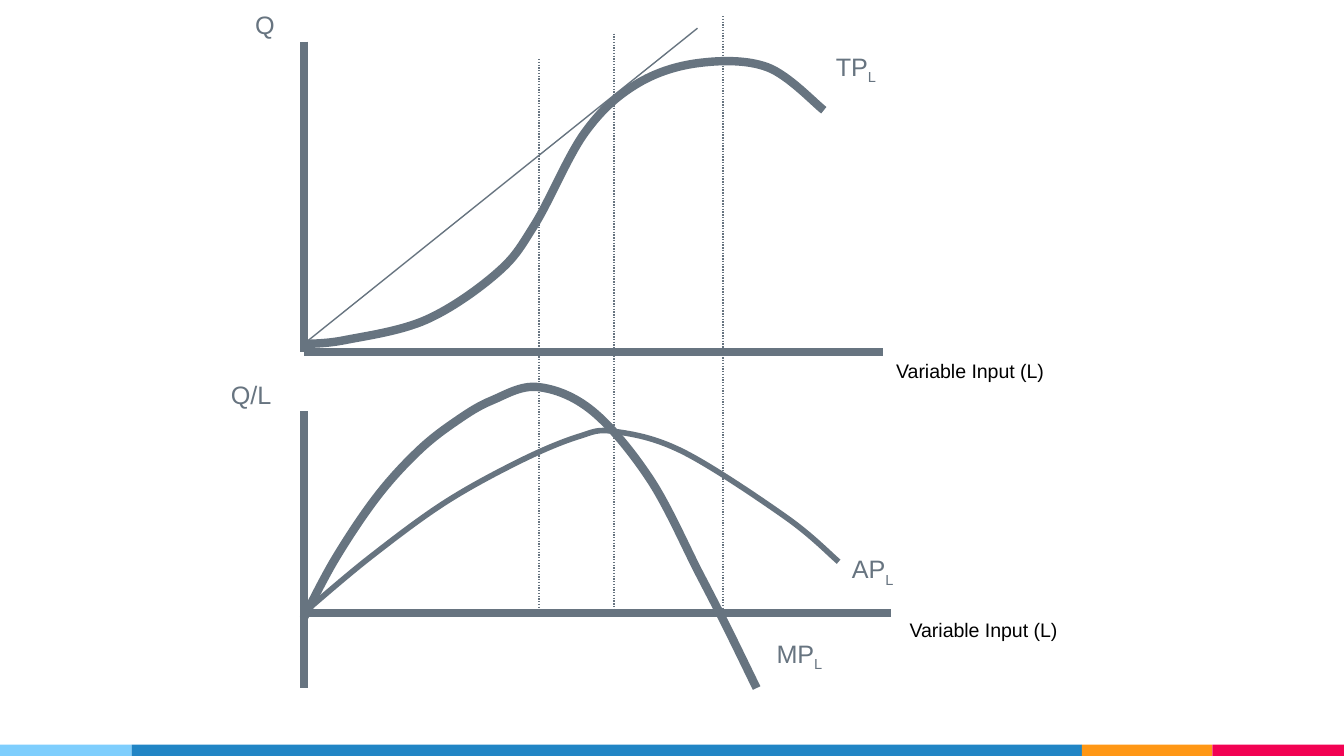
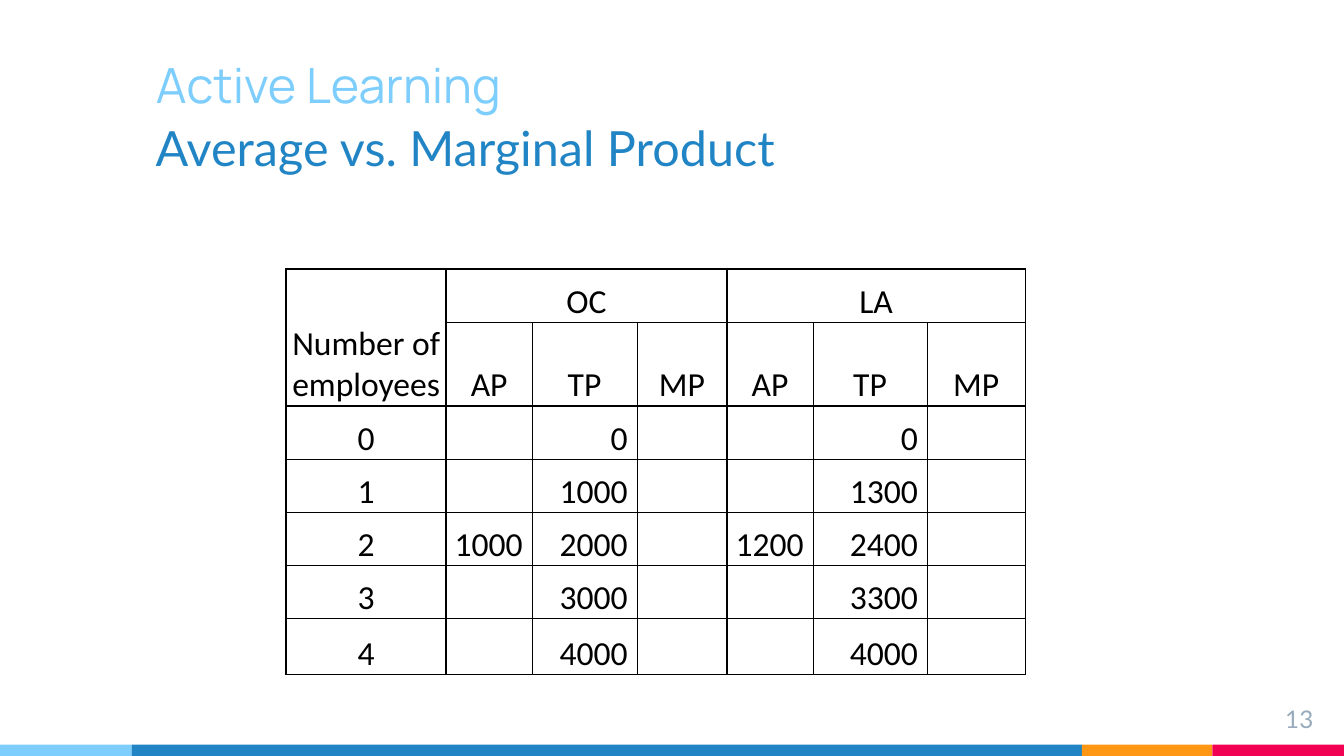
"""Build two economics slides on total, average and marginal product."""
import dataclasses
import typing

import lxml.etree
import pptx
import pptx.dml.color
import pptx.enum.dml
import pptx.enum.shapes
import pptx.enum.text
import pptx.oxml.ns
import pptx.presentation
import pptx.slide
import pptx.table
import pptx.text.text
import pptx.util

PX = 9144
ALIGN = pptx.enum.text.PP_ALIGN
ANCHOR = pptx.enum.text.MSO_ANCHOR
qn = pptx.oxml.ns.qn


@dataclasses.dataclass(frozen=True)
class TextStyle:
    font: str
    size: float
    color: str


@dataclasses.dataclass(frozen=True)
class Theme:
    sky: str = "7ECEFD"
    blue: str = "2185C5"
    orange: str = "FF9715"
    pink: str = "F20253"
    slate: str = "677480"
    black: str = "000000"
    heavy: float = 4.5
    medium: float = 3
    thin: float = 0.75
    table_heavy: float = 1
    table_thin: float = 0.5
    curve_label: TextStyle = TextStyle("Arial", 13.5, "677480")
    axis_label: TextStyle = TextStyle("Arial", 10.5, "000000")
    title: TextStyle = TextStyle("Manrope", 26, "7ECEFD")
    subtitle: TextStyle = TextStyle("Lato", 26, "2185C5")
    page: TextStyle = TextStyle("Lato", 13, "97ABBC")
    cell: TextStyle = TextStyle("Calibri", 18, "000000")


THEME = Theme()


class Box(typing.NamedTuple):
    left: int
    top: int
    width: int
    height: int

    def emu(self) -> list[int]:
        return [side * PX for side in self]


class Band(typing.NamedTuple):
    width: int
    color: str


class Segment(typing.NamedTuple):
    start: tuple[int, int]
    end: tuple[int, int]
    weight: float
    dotted: bool = False


class Curve(typing.NamedTuple):
    weight: float
    knots: list[tuple[int, int]]


class Label(typing.NamedTuple):
    text: str
    box: Box
    style: TextStyle
    subscript: str = ""


BANDS = [Band(98, THEME.sky), Band(707, THEME.blue), Band(97, THEME.orange), Band(98, THEME.pink)]
BAND_TOP = 554

AXES = [
    Segment((226, 31), (226, 262), THEME.heavy),
    Segment((226, 262), (657, 262), THEME.heavy),
    Segment((226, 306), (226, 512), THEME.heavy),
    Segment((226, 456), (663, 456), THEME.heavy),
]
TANGENT = Segment((226, 256), (519, 21), THEME.thin)
STAGES = [Segment((x, top), (x, 456), THEME.thin, True) for x, top in [(401, 44), (457, 25), (538, 12)]]

TOTAL_PRODUCT = Curve(THEME.heavy, [
    (226, 256), (257, 253), (317, 238), (370, 203), (398, 167),
    (435, 99), (473, 63), (519, 47), (571, 50), (613, 82)])
MARGINAL_PRODUCT = Curve(THEME.heavy, [
    (226, 460), (250, 415), (281, 369), (312, 335), (340, 313), (366, 298),
    (400, 288), (441, 306), (484, 357), (520, 426), (541, 467), (563, 512)])
AVERAGE_PRODUCT = Curve(THEME.medium, [
    (226, 456), (275, 415), (331, 374), (387, 343), (430, 325),
    (457, 321), (508, 336), (585, 385), (624, 418)])

LABELS = [
    Label("Q", Box(180, 2, 35, 33), THEME.curve_label),
    Label("Q/L", Box(162, 277, 51, 33), THEME.curve_label),
    Label("TP", Box(612, 33, 51, 33), THEME.curve_label, "L"),
    Label("AP", Box(624, 407, 52, 33), THEME.curve_label, "L"),
    Label("MP", Box(568, 470, 56, 33), THEME.curve_label, "L"),
    Label("Variable Input (L)", Box(667, 455, 133, 28), THEME.axis_label),
    Label("Variable Input (L)", Box(657, 262, 133, 28), THEME.axis_label),
]

PRODUCT_ROWS = [
    ["Number of employees", "OC", "", "", "LA", "", ""],
    ["", "AP", "TP", "MP", "AP", "TP", "MP"],
    ["0", "", "0", "", "", "0", ""],
    ["1", "", "1000", "", "", "1300", ""],
    ["2", "1000", "2000", "", "1200", "2400", ""],
    ["3", "", "3000", "", "", "3300", ""],
    ["4", "", "4000", "", "", "4000", ""],
]
COLUMN_WIDTHS = [119, 64, 78, 67, 64, 85, 73]
ROW_HEIGHTS = [40, 41, 40, 39, 40, 39, 42]
MERGES = [((0, 0), (1, 0)), ((0, 1), (0, 3)), ((0, 4), (0, 6))]
HEAVY_COLUMN_EDGES = {0, 1, 4, 7}
HEAVY_ROW_EDGES = {0, 2, 7}
HEADER_ROWS = 2


def rgb(color: str) -> pptx.dml.color.RGBColor:
    return pptx.dml.color.RGBColor.from_string(color)


def style_paragraph(paragraph: pptx.text.text._Paragraph, style: TextStyle, align: ALIGN = ALIGN.LEFT) -> None:
    paragraph.alignment = align
    paragraph.font.name = style.font
    paragraph.font.size = pptx.util.Pt(style.size)
    paragraph.font.color.rgb = rgb(style.color)


def write_block(frame: pptx.text.text.TextFrame, text: str, style: TextStyle,
                align: ALIGN = ALIGN.LEFT, anchor: ANCHOR = ANCHOR.TOP) -> None:
    frame.word_wrap = True
    frame.auto_size = pptx.enum.text.MSO_AUTO_SIZE.NONE
    frame.vertical_anchor = anchor
    frame.margin_left = frame.margin_top = frame.margin_right = frame.margin_bottom = 10 * PX
    frame.text = text
    style_paragraph(frame.paragraphs[0], style, align)


def add_bands(deck: pptx.presentation.Presentation, slide: pptx.slide.Slide) -> None:
    master_tree = deck.slide_master.shapes._spTree
    height = deck.slide_height - BAND_TOP * PX
    left = 0
    for index, band in enumerate(BANDS):
        strip = slide.shapes.add_shape(pptx.enum.shapes.MSO_SHAPE.RECTANGLE,
                                       left * PX, BAND_TOP * PX, band.width * PX, height)
        strip.shadow.inherit = False
        strip.fill.solid()
        strip.fill.fore_color.rgb = rgb(band.color)
        strip.line.fill.background()
        strip._element.xpath(".//p:cNvPr")[0].set("id", str(20 + index))
        master_tree.append(strip._element)
        left += band.width


def add_segment(slide: pptx.slide.Slide, segment: Segment) -> None:
    ends = [value * PX for value in segment.start + segment.end]
    connector = slide.shapes.add_connector(pptx.enum.shapes.MSO_CONNECTOR.STRAIGHT, *ends)
    connector.line.color.rgb = rgb(THEME.slate)
    connector.line.width = pptx.util.Pt(segment.weight)
    if segment.dotted:
        connector.line.dash_style = pptx.enum.dml.MSO_LINE.ROUND_DOT
    lxml.etree.SubElement(connector._element.spPr, qn("a:effectLst"))


def add_curve(slide: pptx.slide.Slide, curve: Curve) -> None:
    knots = [(x * PX, y * PX) for x, y in curve.knots]
    builder = slide.shapes.build_freeform(*knots[0])
    builder.add_line_segments(knots[1:], close=False)
    outline = builder.convert_to_shape()
    outline.shadow.inherit = False
    outline.fill.background()
    outline.line.color.rgb = rgb(THEME.slate)
    outline.line.width = pptx.util.Pt(curve.weight)
    smooth_outline(outline._element)


def smooth_outline(outline: typing.Any) -> None:
    points = [(int(pt.get("x")), int(pt.get("y"))) for pt in outline.xpath(".//a:pt")]
    padded = [points[0], *points, points[-1]]
    for index, straight in enumerate(outline.xpath(".//a:lnTo")):
        before, start, end, after = padded[index:index + 4]
        leave = [s + (e - b) // 6 for b, s, e in zip(before, start, end)]
        arrive = [e - (a - s) // 6 for s, e, a in zip(start, end, after)]
        bend = lxml.etree.Element(qn("a:cubicBezTo"))
        for x, y in (leave, arrive, end):
            lxml.etree.SubElement(bend, qn("a:pt"), x=str(x), y=str(y))
        straight.getparent().replace(straight, bend)


def add_label(slide: pptx.slide.Slide, label: Label) -> None:
    frame = slide.shapes.add_textbox(*label.box.emu()).text_frame
    frame.word_wrap = False
    frame.auto_size = pptx.enum.text.MSO_AUTO_SIZE.SHAPE_TO_FIT_TEXT
    paragraph = frame.paragraphs[0]
    paragraph.add_run().text = label.text
    if label.subscript:
        subscript = paragraph.add_run()
        subscript.text = label.subscript
        subscript.font._element.set("baseline", "-25000")
    style_paragraph(paragraph, label.style)


def add_cell_borders(cell: pptx.table._Cell, row: int, column: int) -> None:
    edges = {
        "a:lnL": column in HEAVY_COLUMN_EDGES,
        "a:lnR": column + cell.span_width in HEAVY_COLUMN_EDGES,
        "a:lnT": row in HEAVY_ROW_EDGES,
        "a:lnB": row + cell.span_height in HEAVY_ROW_EDGES,
    }
    properties = cell._tc.get_or_add_tcPr()
    for tag, heavy in edges.items():
        weight = pptx.util.Pt(THEME.table_heavy if heavy else THEME.table_thin)
        border = lxml.etree.SubElement(properties, qn(tag), w=str(weight))
        fill = lxml.etree.SubElement(border, qn("a:solidFill"))
        lxml.etree.SubElement(fill, qn("a:srgbClr"), val=THEME.black)


def add_product_table(slide: pptx.slide.Slide) -> None:
    box = Box(213, 200, sum(COLUMN_WIDTHS), sum(ROW_HEIGHTS))
    table = slide.shapes.add_table(len(ROW_HEIGHTS), len(COLUMN_WIDTHS), *box.emu()).table
    table.first_row = table.horz_banding = False
    for column, width in zip(table.columns, COLUMN_WIDTHS):
        column.width = width * PX
    for row, height in zip(table.rows, ROW_HEIGHTS):
        row.height = height * PX
    for first, last in MERGES:
        table.cell(*first).merge(table.cell(*last))
    for row, texts in enumerate(PRODUCT_ROWS):
        for column, text in enumerate(texts):
            cell = table.cell(row, column)
            is_figure = row >= HEADER_ROWS and column > 0
            if not cell.is_spanned:
                add_cell_borders(cell, row, column)
            cell.fill.background()
            cell.vertical_anchor = ANCHOR.BOTTOM
            cell.margin_left = cell.margin_top = PX
            cell.margin_right = (7 if is_figure else 1) * PX
            cell.margin_bottom = 0
            cell.text = text
            style_paragraph(cell.text_frame.paragraphs[0], THEME.cell, ALIGN.RIGHT if is_figure else ALIGN.CENTER)


def build_curves_slide(slide: pptx.slide.Slide) -> None:
    for segment in [*AXES, TANGENT, *STAGES]:
        add_segment(slide, segment)
    for curve in (TOTAL_PRODUCT, MARGINAL_PRODUCT, AVERAGE_PRODUCT):
        add_curve(slide, curve)
    for label in LABELS:
        add_label(slide, label)


def build_exercise_slide(slide: pptx.slide.Slide) -> None:
    title = slide.shapes.title
    title.left, title.top, title.width, title.height = Box(106, 25, 603, 69).emu()
    write_block(title.text_frame, "Active Learning", THEME.title, anchor=ANCHOR.BOTTOM)
    subtitle = slide.shapes.add_textbox(*Box(106, 78, 752, 86).emu()).text_frame
    write_block(subtitle, "Average vs. Marginal Product", THEME.subtitle)
    subtitle.paragraphs[0].space_before = pptx.util.Pt(6)
    page = slide.shapes.add_textbox(*Box(927, 514, 60, 34).emu()).text_frame
    write_block(page, "13", THEME.page, ALIGN.RIGHT)
    add_product_table(slide)


def main() -> None:
    deck = pptx.Presentation()
    deck.slide_width = 1000 * PX
    deck.slide_height = deck.slide_width * 9 // 16
    title_only, blank = deck.slide_layouts[5], deck.slide_layouts[6]
    curves = deck.slides.add_slide(blank)
    add_bands(deck, curves)
    build_curves_slide(curves)
    build_exercise_slide(deck.slides.add_slide(title_only))
    deck.save("out.pptx")


if __name__ == "__main__":
    main()
